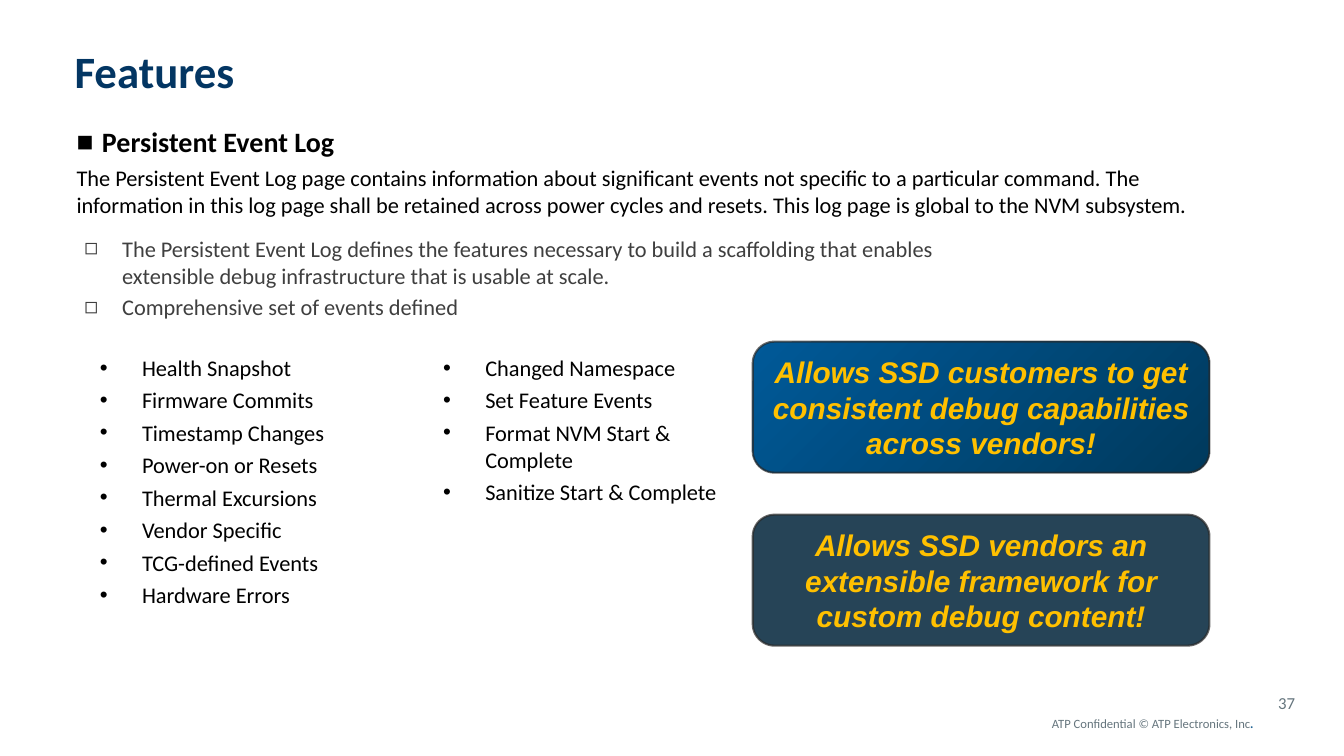
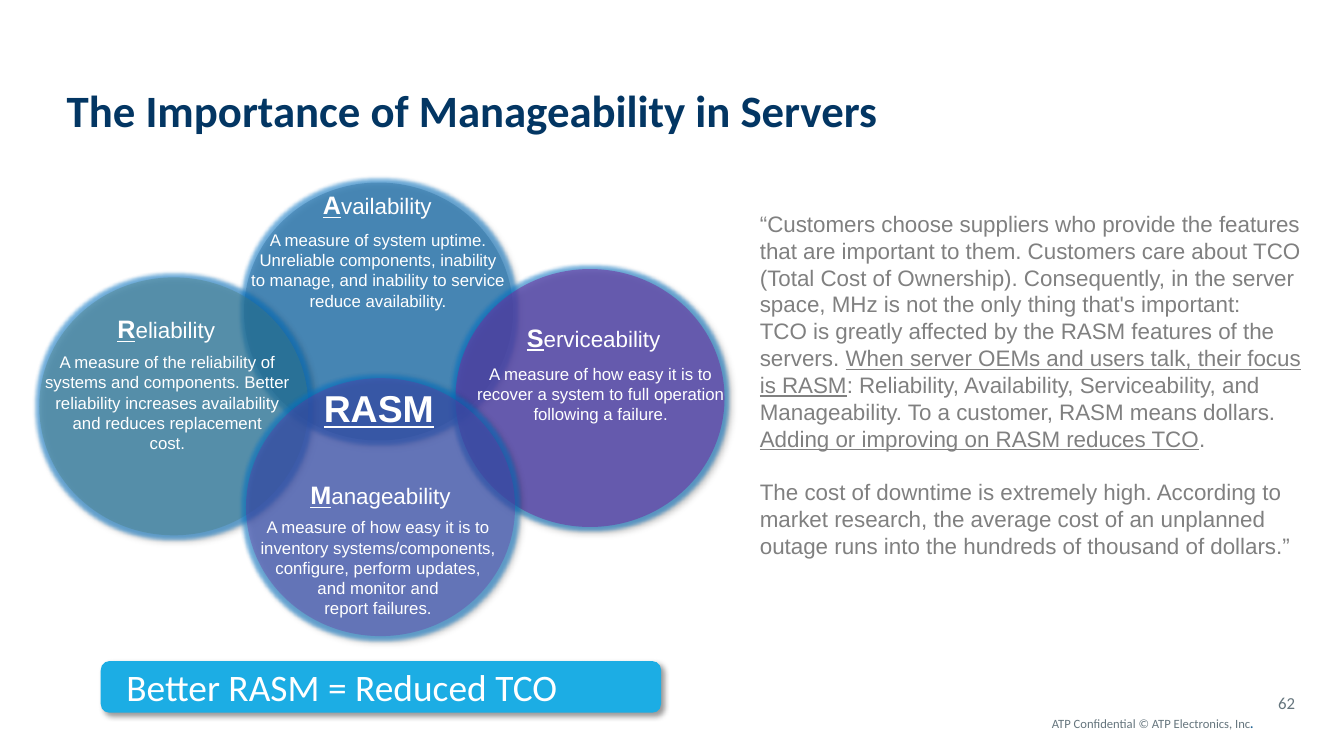
from dataclasses import dataclass, replace

from lxml.etree import SubElement
from pptx import Presentation
from pptx.dml.color import RGBColor
from pptx.enum.shapes import MSO_SHAPE as SHAPE
from pptx.enum.text import MSO_ANCHOR as ANCHOR, PP_ALIGN as ALIGN
from pptx.oxml.ns import qn
from pptx.util import Cm, Pt

NAVY, GREY, FOOT_DOT = "033663", "65757D", "1D6294"
BLACK, WHITE, DARK, QUOTE_GREY = "000000", "FFFFFF", "3F3F3F", "808080"
GOLD, EDGE, SLATE, CYAN = "FFC000", "292929", "264457", "1CADE4"
GLOW = "0078D0"
INSET_X, INSET_Y = 0.25, 0.13


@dataclass(frozen=True)
class Style:
    size: float
    color: str
    font: str = "Calibri"
    bold: bool = False
    italic: bool = False
    underline: bool = False


@dataclass(frozen=True)
class Para:
    runs: tuple
    before: float = 0
    bullet: str = ""
    margin: float = 0
    hang: float = 0


@dataclass(frozen=True)
class Box:
    x: float
    y: float
    w: float
    h: float


@dataclass(frozen=True)
class Circle:
    x: float
    y: float
    color: str
    opacity: int
    name: str
    name_x: float
    name_y: float
    text_x: float
    text_y: float
    lines: tuple


TITLE = Style(32, NAVY, bold=True)
FOOTER = Style(9, GREY)
PAGE = Style(12, GREY)
BODY = Style(16, BLACK)
POINT = Style(16, DARK)
CALLOUT = Style(21.3, GOLD, "Arial", bold=True, italic=True)
INITIAL = Style(18, WHITE, "Arial", bold=True, underline=True)
NAME = Style(16, WHITE, "Arial")
DETAIL = Style(12, WHITE, "Arial")
CENTER = replace(INITIAL, size=26.7)
BANNER = Style(26.7, WHITE)
QUOTE = Style(16, QUOTE_GREY, "Arial")
STRESS = replace(QUOTE, underline=True)

EVENTS = (
    "Health Snapshot", "Firmware Commits", "Timestamp Changes",
    "Power-on or Resets", "Thermal Excursions", "Vendor Specific",
    "TCG-defined Events", "Hardware Errors", "Changed Namespace",
    "Set Feature Events", "Format NVM Start & Complete",
    "Sanitize Start & Complete",
)

CIRCLES = (
    Circle(6.15, 4.6, "1D6294", 35, "Availability", 9.51, 4.65, 9.53, 5.66, (
        "A measure of system uptime.",
        "Unreliable components, inability",
        "to manage, and inability to service",
        "reduce availability.")),
    Circle(0.99, 6.99, "487B78", 35, "Reliability", 4.19, 7.77, 4.22, 8.74, (
        "A measure of the reliability of",
        "systems and components. Better",
        "reliability increases availability",
        "and reduces replacement",
        "cost.")),
    Circle(11.48, 6.78, "7030A0", 57, "Serviceability", 14.96, 7.98, 15.14, 9.04, (
        "A measure of how easy it is to",
        "recover a system to full operation",
        "following a failure.")),
    Circle(6.2, 9.53, "7030A0", 35, "Manageability", 9.59, 11.96, 9.53, 12.9, (
        "A measure of how easy it is to",
        "inventory systems/components,",
        "configure, perform updates,",
        "and monitor and",
        "report failures.")),
)


def rgb(value: str) -> RGBColor:
    return RGBColor.from_string(value)


def para(text: str, style: Style, **options) -> Para:
    return Para(((text, style),), **options)


def write(tf, paras, align=ALIGN.LEFT, anchor=ANCHOR.TOP, wrap=True,
          inset_x=INSET_X, inset_y=INSET_Y) -> None:
    tf.word_wrap = wrap
    tf.vertical_anchor = anchor
    tf.margin_left = tf.margin_right = Cm(inset_x)
    tf.margin_top = tf.margin_bottom = Cm(inset_y)
    for i, item in enumerate(paras):
        p = tf.add_paragraph() if i else tf.paragraphs[0]
        p.alignment = align
        p_pr = p._p.get_or_add_pPr()
        p_pr.set("marL", str(Cm(item.margin)))
        p_pr.set("indent", str(-Cm(item.hang)))
        if item.bullet:
            SubElement(p_pr, qn("a:buFont"), typeface="Arial")
            SubElement(p_pr, qn("a:buChar"), char=item.bullet)
        p.space_before = Pt(item.before if i else 0)
        for text, style in item.runs:
            r = p.add_run()
            r.text = text
            f = r.font
            f.name, f.size = style.font, Pt(style.size)
            f.bold, f.italic, f.underline = style.bold, style.italic, style.underline
            f.color.rgb = rgb(style.color)


def add_text(s, box: Box, paras, **options):
    sp = s.shapes.add_textbox(Cm(box.x), Cm(box.y), Cm(box.w), Cm(box.h))
    write(sp.text_frame, paras, **options)
    return sp


def add_centered(s, x: float, y: float, paras) -> None:
    width = 7
    add_text(s, Box(x - width / 2, y, width, 1), paras,
             align=ALIGN.CENTER, wrap=False)


def add_shape(s, kind, box: Box, fill: str = ""):
    sp = s.shapes.add_shape(kind, Cm(box.x), Cm(box.y), Cm(box.w), Cm(box.h))
    sp.shadow.inherit = False
    sp.line.fill.background()
    if fill:
        sp.fill.solid()
        sp.fill.fore_color.rgb = rgb(fill)
    return sp


def set_alpha(fill_parent, percent: int) -> None:
    color = fill_parent.find(qn("a:solidFill")).find(qn("a:srgbClr"))
    SubElement(color, qn("a:alpha"), val=str(percent * 1000))


def add_effect(sp, tag: str, color: str, percent: int, **attrs) -> None:
    effects = sp._element.spPr.find(qn("a:effectLst"))
    effect = SubElement(effects, qn(tag), **attrs)
    clr = SubElement(effect, qn("a:srgbClr"), val=color)
    SubElement(clr, qn("a:alpha"), val=str(percent * 1000))


def add_shadow(sp) -> None:
    add_effect(sp, "a:outerShdw", BLACK, 40, blurRad=str(Pt(4)),
               dist=str(Pt(3)), dir="2700000", algn="tl", rotWithShape="0")


def add_slide(prs, title: str, box: Box, number: int):
    s = prs.slides.add_slide(prs.slide_layouts[6])
    add_text(s, Box(26.26, 17.91, 6.27, 0.64), [Para((
        ("ATP Confidential © ATP Electronics, Inc", FOOTER),
        (".", replace(FOOTER, color=FOOT_DOT, bold=True))))])
    add_text(s, Box(31.09, 17.22, 1.8, 0.99), [para(str(number), PAGE)],
             align=ALIGN.RIGHT, anchor=ANCHOR.MIDDLE)
    add_text(s, box, [para(title, TITLE)], anchor=ANCHOR.MIDDLE, inset_x=0)
    return s


def add_callout(s, row: int, text: str):
    sp = add_shape(s, SHAPE.ROUNDED_RECTANGLE,
                   Box(18.97, 8.61 + row * 4.36, 11.51, 3.3), SLATE)
    sp.line.color.rgb = rgb(EDGE)
    sp.line.width = Pt(1.5)
    set_alpha(sp._element.spPr.find(qn("a:ln")), 70)
    write(sp.text_frame, [para(text, CALLOUT)],
          align=ALIGN.CENTER, anchor=ANCHOR.MIDDLE)
    return sp


def add_circle(s, c: Circle) -> None:
    sp = add_shape(s, SHAPE.OVAL, Box(c.x, c.y, 6.78, 6.5), c.color)
    set_alpha(sp._element.spPr, c.opacity)
    add_effect(sp, "a:glow", GLOW, 50, rad=str(Pt(5)))
    add_shadow(sp)
    add_centered(s, c.name_x, c.name_y,
                 [Para(((c.name[0], INITIAL), (c.name[1:], NAME)))])
    add_centered(s, c.text_x, c.text_y, [para(t, DETAIL) for t in c.lines])


def features(prs) -> None:
    s = add_slide(prs, "Features", Box(1.88, 0.86, 26.8, 1.85), 37)
    add_text(s, Box(1.68, 3.02, 28.93, 2.39), [
        para("Persistent Event Log", Style(20, BLACK, bold=True),
             bullet="■", margin=0.64, hang=0.64),
        para("The Persistent Event Log page contains information about "
             "significant events not specific to a particular command. The "
             "information in this log page shall be retained across power "
             "cycles and resets. This log page is global to the NVM "
             "subsystem.", BODY, before=4)])
    points = (
        "The Persistent Event Log defines the features necessary to build a "
        "scaffolding that enables extensible debug infrastructure that is "
        "usable at scale.",
        "Comprehensive set of events defined")
    add_text(s, Box(1.88, 5.79, 23.8, 2.39), [
        para(t, POINT, before=3.2, bullet="◻", margin=0.95, hang=0.95)
        for t in points])
    sp = add_text(s, Box(1.68, 8.92, 17.3, 6.48), [
        para(t, BODY, before=4, bullet="•", margin=1.9, hang=1.06)
        for t in EVENTS], inset_x=0, inset_y=0)
    sp.text_frame._txBody.bodyPr.set("numCol", "2")
    sp = add_callout(s, 0, "Allows SSD customers to get consistent debug "
                           "capabilities across vendors!")
    sp.fill.gradient()
    sp.fill.gradient_angle = 315
    for stop, color in zip(sp.fill.gradient_stops, ("005998", "003A5D")):
        stop.color.rgb = rgb(color)
    add_callout(s, 1, "Allows SSD vendors an extensible framework for "
                      "custom debug content!")


def manageability(prs) -> None:
    s = add_slide(prs, "The Importance of Manageability in Servers",
                  Box(1.68, 1.14, 30.48, 3.23), 62)
    for c in CIRCLES:
        add_circle(s, c)
    add_centered(s, 9.55, 9.58, [para("RASM", CENTER)])
    sp = add_shape(s, SHAPE.ROUNDED_RECTANGLE, Box(2.54, 16.66, 14.12, 1.3), CYAN)
    add_shadow(sp)
    write(sp.text_frame, [para("Better RASM = Reduced TCO", BANNER, margin=0.33)],
          anchor=ANCHOR.MIDDLE)
    add_text(s, Box(18.9, 5.16, 14.68, 9.14), [
        para("“Customers choose suppliers who provide the features", QUOTE),
        para("that are important to them. Customers care about TCO", QUOTE),
        para("(Total Cost of Ownership). Consequently, in the server", QUOTE),
        para("space, MHz is not the only thing that's important:", QUOTE),
        para("TCO is greatly affected by the RASM features of the", QUOTE),
        Para((("servers. ", QUOTE),
              ("When server OEMs and users talk, their focus", STRESS))),
        Para((("is RASM", STRESS),
              (": Reliability, Availability, Serviceability, and", QUOTE))),
        para("Manageability. To a customer, RASM means dollars.", QUOTE),
        Para((("Adding or improving on RASM reduces TCO", STRESS), (".", QUOTE))),
        para("The cost of downtime is extremely high. According to", QUOTE,
             before=19),
        para("market research, the average cost of an unplanned", QUOTE),
        para("outage runs into the hundreds of thousand of dollars.”", QUOTE)])


def main() -> None:
    prs = Presentation()
    prs.slide_width, prs.slide_height = Cm(33.87), Cm(19.05)
    features(prs)
    manageability(prs)
    prs.save("out.pptx")


if __name__ == "__main__":
    main()
